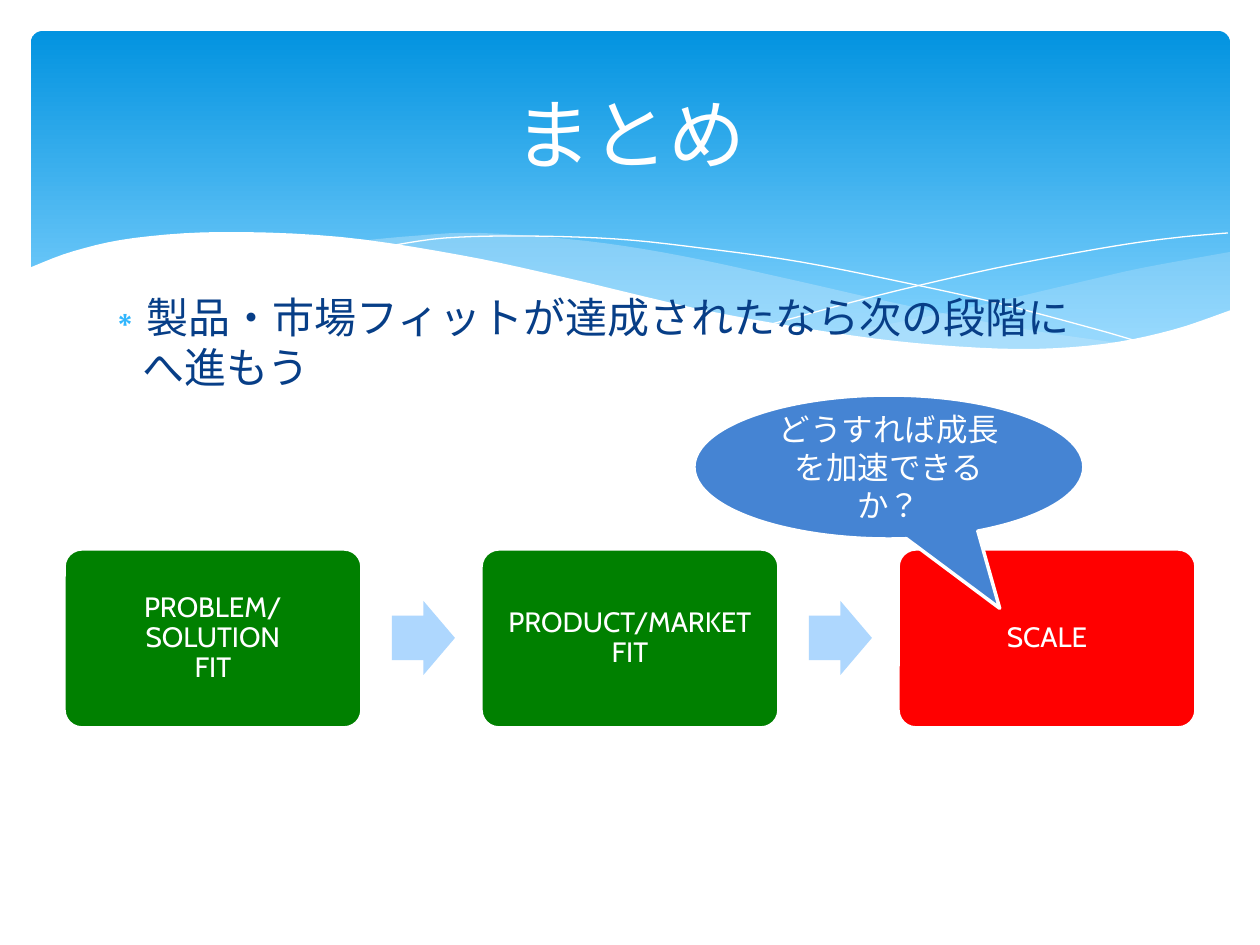
"""Build the summary slide: a wave banner, one bullet and a three-stage flow."""
from dataclasses import dataclass
from typing import Optional

from lxml import etree
from pptx import Presentation
from pptx import util as u
from pptx.dml.color import RGBColor
from pptx.enum import shapes, text
from pptx.oxml import ns

EMU_PER_PX = 914400 / 126
STEPS_PER_SPAN = 5
Point = tuple[float, float]


@dataclass(frozen=True)
class Theme:
    font: str = "Cabin"
    language: str = "ja-JP"
    white: str = "FFFFFF"
    banner_top: str = "0293E0"
    banner_bottom: str = "83D3FE"
    wave: str = "C6E7FC"
    body: str = "073E87"
    bullet: str = "31B6FD"
    arrow: str = "AED7FE"
    done: str = "008000"
    upcoming: str = "FF0000"
    callout: str = "4584D3"
    title_size: int = 44
    body_size: int = 24
    callout_size: int = 18
    stage_size: int = 16
    outline: int = 2


@dataclass(frozen=True)
class Box:
    left: int
    top: int
    width: int
    height: int

    def emu(self) -> tuple[u.Emu, ...]:
        return tuple(px(v) for v in (self.left, self.top, self.width, self.height))


@dataclass(frozen=True)
class Wave:
    edges: tuple[tuple[Point, ...], ...]
    fill: Optional[str] = None
    opacity: int = 100


@dataclass(frozen=True)
class Stage:
    label: str
    color: str


THEME = Theme()
BANNER = Box(31, 31, 1199, 340)
TITLE = Box(63, 46, 1134, 173)
BODY = Box(92, 285, 1021, 475)
CALLOUT = Box(694, 395, 390, 144)
CARD = Box(64, 549, 298, 179)
ARROW = Box(392, 601, 63, 74)
STAGE_PITCH = 417

WAVES = (
    Wave((((1230, 252), (1142, 268), (1085, 281), (982, 305), (890, 324), (833, 334)),
          ((833, 334), (906, 343), (969, 349), (1026, 350), (1087, 347),
           (1150, 336), (1196, 324), (1230, 311))), THEME.wave, 29),
    Wave((((1125, 344), (1017, 328), (890, 302), (793, 280), (682, 256),
           (586, 241), (479, 233), (413, 236), (360, 241)),
          ((360, 241), (456, 256), (566, 280), (713, 312), (819, 333),
           (910, 345), (1003, 350), (1068, 349), (1125, 344))), THEME.wave, 40),
    Wave((((389, 246), (445, 238), (524, 236), (616, 239), (701, 248),
           (801, 262), (916, 285), (1001, 304), (1095, 329), (1143, 343)),)),
    Wave((((772, 324), (876, 296), (978, 272), (1053, 257), (1128, 244),
           (1182, 237), (1228, 233)),)),
    Wave((((29, 268), (74, 251), (134, 238), (223, 232), (341, 237), (460, 255),
           (563, 277), (699, 309), (816, 330), (915, 343), (1019, 349),
           (1103, 344), (1172, 330), (1231, 310)),
          ((1231, 415), (29, 415))), THEME.white),
)
STAGES = (
    Stage("PROBLEM/SOLUTION\nFIT", THEME.done),
    Stage("PRODUCT/MARKET\nFIT", THEME.done),
    Stage("SCALE", THEME.upcoming),
)


def px(value: float) -> u.Emu:
    return u.Emu(round(value * EMU_PER_PX))


def rgb(color: str) -> RGBColor:
    return RGBColor.from_string(color)


def smooth(knots: tuple[Point, ...]) -> list[Point]:
    """Sample a Catmull-Rom curve through the knots; two knots stay straight."""
    if len(knots) == 2:
        return list(knots)
    padded = (knots[0], *knots, knots[-1])
    points = [knots[0]]
    for a, b, c, d in zip(padded, padded[1:], padded[2:], padded[3:]):
        for step in range(1, STEPS_PER_SPAN + 1):
            t = step / STEPS_PER_SPAN
            points.append(tuple(
                (2 * q + (r - p) * t + (2 * p - 5 * q + 4 * r - s) * t ** 2
                 + (3 * q - p - 3 * r + s) * t ** 3) / 2
                for p, q, r, s in zip(a, b, c, d)))
    return points


def add_wave(slide, wave: Wave) -> None:
    points = [(px(x), px(y)) for edge in wave.edges for x, y in smooth(edge)]
    builder = slide.shapes.build_freeform(*points[0], scale=1.0)
    builder.add_line_segments(points[1:], close=wave.fill is not None)
    shape = builder.convert_to_shape()
    shape.shadow.inherit = False
    if wave.fill is None:
        shape.fill.background()
        shape.line.color.rgb = rgb(THEME.white)
        shape.line.width = u.Pt(0)
        return
    shape.line.fill.background()
    shape.fill.solid()
    shape.fill.fore_color.rgb = rgb(wave.fill)
    if wave.opacity < 100:
        color = shape.element.spPr.find(".//" + ns.qn("a:srgbClr"))
        etree.SubElement(color, ns.qn("a:alpha"), val=str(wave.opacity * 1000))


def add_preset(slide, kind, box: Box, adjustments: tuple[float, ...],
               fill: Optional[str] = None, outlined: bool = False):
    shape = slide.shapes.add_shape(kind, *box.emu())
    shape.shadow.inherit = False
    for index, value in enumerate(adjustments):
        shape.adjustments[index] = value
    if fill:
        shape.fill.solid()
        shape.fill.fore_color.rgb = rgb(fill)
    if outlined:
        shape.line.color.rgb = rgb(THEME.white)
        shape.line.width = u.Pt(THEME.outline)
    else:
        shape.line.fill.background()
    return shape


def write(shape, words: str, size: int, color: str, align=text.PP_ALIGN.CENTER,
          anchor=text.MSO_ANCHOR.MIDDLE):
    frame = shape.text_frame
    frame.word_wrap = True
    frame.auto_size = text.MSO_AUTO_SIZE.NONE
    frame.vertical_anchor = anchor
    paragraph = frame.paragraphs[0]
    paragraph.text = words
    paragraph.alignment = align
    for run in paragraph.runs:
        run.font.name = THEME.font
        run.font.size = u.Pt(size)
        run.font.color.rgb = rgb(color)
        properties = run._r.get_or_add_rPr()
        properties.set("lang", THEME.language)
        etree.SubElement(properties, ns.qn("a:ea"), typeface=THEME.font)
    return paragraph


def add_banner(slide) -> None:
    banner = add_preset(slide, shapes.MSO_SHAPE.ROUNDED_RECTANGLE, BANNER, (0.034,))
    banner.fill.gradient()
    banner.fill.gradient_angle = 270
    colors = (THEME.banner_top, THEME.banner_bottom)
    for stop, position, color in zip(banner.fill.gradient_stops, (0, 0.9), colors):
        stop.position = position
        stop.color.rgb = rgb(color)
    for wave in WAVES:
        add_wave(slide, wave)


def add_stages(slide) -> None:
    for index, stage in enumerate(STAGES):
        shift = index * STAGE_PITCH
        box = Box(CARD.left + shift, CARD.top, CARD.width, CARD.height)
        card = add_preset(slide, shapes.MSO_SHAPE.ROUNDED_RECTANGLE, box, (0.1,), stage.color, True)
        write(card, stage.label, THEME.stage_size, THEME.white).line_spacing = 0.9
        frame = card.text_frame
        frame.margin_left = frame.margin_right = frame.margin_top = frame.margin_bottom = px(9)
        if index < len(STAGES) - 1:
            box = Box(ARROW.left + shift, ARROW.top, ARROW.width, ARROW.height)
            add_preset(slide, shapes.MSO_SHAPE.RIGHT_ARROW, box, (0.6, 0.5), THEME.arrow)


def place_in_front(placeholder, box: Box) -> None:
    placeholder.left, placeholder.top, placeholder.width, placeholder.height = box.emu()
    placeholder.element.getparent().append(placeholder.element)


def add_body(placeholder) -> None:
    place_in_front(placeholder, BODY)
    paragraph = write(placeholder, "製品・市場フィットが達成されたなら次の段階にへ進もう", THEME.body_size,
                      THEME.body, text.PP_ALIGN.LEFT, text.MSO_ANCHOR.TOP)
    paragraph.space_before = u.Pt(5)
    properties = paragraph._p.get_or_add_pPr()
    properties.set("marL", str(px(38)))
    properties.set("indent", str(-px(38)))
    bullet_color = etree.SubElement(properties, ns.qn("a:buClr"))
    etree.SubElement(bullet_color, ns.qn("a:srgbClr"), val=THEME.bullet)
    etree.SubElement(properties, ns.qn("a:buChar"), char="∗")


def main() -> None:
    presentation = Presentation()
    presentation.slide_width, presentation.slide_height = px(1260), px(945)
    slide = presentation.slides.add_slide(presentation.slide_layouts[1])
    add_banner(slide)
    add_stages(slide)
    place_in_front(slide.shapes.title, TITLE)
    write(slide.shapes.title, "まとめ", THEME.title_size, THEME.white)
    add_body(slide.placeholders[1])
    callout = add_preset(slide, shapes.MSO_SHAPE.OVAL_CALLOUT, CALLOUT, (0.284, 0.981), THEME.callout, True)
    write(callout, "どうすれば成長を加速できるか？", THEME.callout_size, THEME.white)
    presentation.save("out.pptx")


if __name__ == "__main__":
    main()
